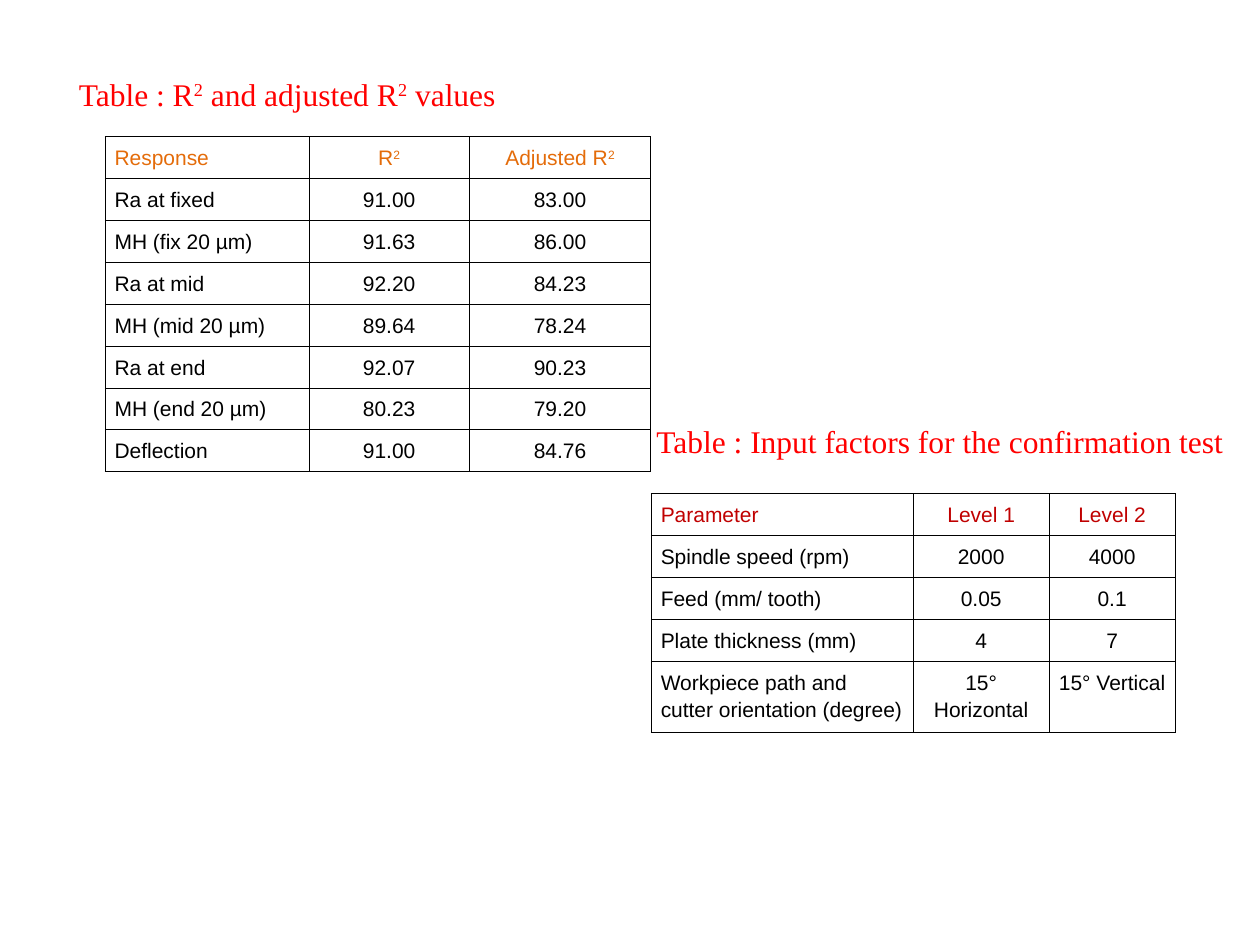
from dataclasses import dataclass

from lxml import etree
from pptx import Presentation
from pptx.dml.color import RGBColor
from pptx.enum.text import MSO_AUTO_SIZE, PP_ALIGN
from pptx.oxml.ns import qn
from pptx.slide import Slide
from pptx.table import _Cell
from pptx.text.text import _Paragraph
from pptx.util import Cm, Pt

LEFT = PP_ALIGN.LEFT
CENTER = PP_ALIGN.CENTER
JUSTIFY = PP_ALIGN.JUSTIFY
FIT_SHAPE = MSO_AUTO_SIZE.SHAPE_TO_FIT_TEXT
NO_RESIZE = MSO_AUTO_SIZE.NONE
BLANK_LAYOUT = 6
SQUARE_MARK = "²"


@dataclass(frozen=True)
class Theme:
    caption_font: str = "Times New Roman"
    caption_size: float = 18
    caption_color: str = "FF0000"
    table_font: str = "Arial"
    table_size: float = 12
    body_color: str = "000000"
    fit_header: str = "E46C0A"
    factor_header: str = "C00000"
    border_color: str = "000000"
    border_width: float = 0.45
    line_spacing: float = 1.15


@dataclass(frozen=True)
class Caption:
    text: str
    left: float
    top: float
    width: float
    height: float = 1.14


@dataclass(frozen=True)
class DataTable:
    left: float
    top: float
    columns: tuple[float, ...]
    row_heights: tuple[float, ...]
    header_color: str
    rows: tuple[tuple[str, ...], ...]
    last_label_align: PP_ALIGN


THEME = Theme()
LINE_HEIGHT = 0.58

CAPTIONS = (
    Caption("Table : R² and adjusted R² values", 1.32, 1.27, 8.94),
    Caption("Table : Input factors for the confirmation test", 12.95, 8.26, 12),
)

FIT_QUALITY = DataTable(
    left=2.12,
    top=2.75,
    columns=(4.11, 3.23, 3.66),
    row_heights=(LINE_HEIGHT,) * 8,
    header_color=THEME.fit_header,
    rows=(
        ("Response", "R²", "Adjusted R²"),
        ("Ra at fixed", "91.00", "83.00"),
        ("MH (fix 20 µm)", "91.63", "86.00"),
        ("Ra at mid", "92.20", "84.23"),
        ("MH (mid 20 µm)", "89.64", "78.24"),
        ("Ra at end", "92.07", "90.23"),
        ("MH (end 20 µm)", "80.23", "79.20"),
        ("Deflection", "91.00", "84.76"),
    ),
    last_label_align=JUSTIFY,
)

INPUT_FACTORS = DataTable(
    left=13.13,
    top=9.95,
    columns=(5.28, 2.74, 2.54),
    row_heights=(LINE_HEIGHT,) * 4 + (2 * LINE_HEIGHT,),
    header_color=THEME.factor_header,
    rows=(
        ("Parameter", "Level 1", "Level 2"),
        ("Spindle speed (rpm)", "2000", "4000"),
        ("Feed (mm/ tooth)", "0.05", "0.1"),
        ("Plate thickness (mm)", "4", "7"),
        ("Workpiece path and cutter orientation (degree)", "15° Horizontal", "15° Vertical"),
    ),
    last_label_align=LEFT,
)


def write(paragraph: _Paragraph, text: str, font: str, size: float, color: str, align: PP_ALIGN) -> None:
    paragraph.alignment = align
    paragraph.line_spacing = THEME.line_spacing
    for index, part in enumerate(text.split(SQUARE_MARK)):
        if index:
            exponent = paragraph.add_run()
            exponent.text = "2"
            exponent._r.get_or_add_rPr().set("baseline", "30000")
        if part:
            paragraph.add_run().text = part
    for run in paragraph.runs:
        run.font.name = font
        run.font.size = Pt(size)
        run.font.color.rgb = RGBColor.from_string(color)


def add_borders(cell: _Cell) -> None:
    properties = cell._tc.get_or_add_tcPr()
    for position, side in enumerate(("lnL", "lnR", "lnT", "lnB")):
        line = etree.Element(qn(f"a:{side}"), w=str(int(Pt(THEME.border_width))))
        fill = etree.SubElement(line, qn("a:solidFill"))
        etree.SubElement(fill, qn("a:srgbClr"), val=THEME.border_color)
        properties.insert(position, line)


def add_caption(slide: Slide, caption: Caption) -> None:
    box = slide.shapes.add_textbox(
        Cm(caption.left), Cm(caption.top), Cm(caption.width), Cm(caption.height)
    )
    frame = box.text_frame
    frame.word_wrap = False
    frame.auto_size = FIT_SHAPE
    write(frame.paragraphs[0], caption.text, THEME.caption_font, THEME.caption_size,
          THEME.caption_color, CENTER)


def add_data_table(slide: Slide, data: DataTable) -> None:
    table = slide.shapes.add_table(
        len(data.rows), len(data.columns), Cm(data.left), Cm(data.top),
        Cm(sum(data.columns)), Cm(sum(data.row_heights)),
    ).table
    table.first_row = False
    table.horz_banding = False
    for column, width in zip(table.columns, data.columns):
        column.width = Cm(width)
    for row, height in zip(table.rows, data.row_heights):
        row.height = Cm(height)
    last_row = len(data.rows) - 1
    for row_index, values in enumerate(data.rows):
        color = THEME.body_color if row_index else data.header_color
        label_align = data.last_label_align if row_index == last_row else JUSTIFY
        for column_index, value in enumerate(values):
            cell = table.cell(row_index, column_index)
            cell.margin_left = cell.margin_right = Cm(0.19)
            cell.margin_top = cell.margin_bottom = Cm(0.13)
            cell.fill.background()
            add_borders(cell)
            write(cell.text_frame.paragraphs[0], value, THEME.table_font, THEME.table_size,
                  color, CENTER if column_index else label_align)


def main() -> None:
    presentation = Presentation()
    presentation.slide_width = Cm(25.4)
    presentation.slide_height = Cm(19.05)
    slide = presentation.slides.add_slide(presentation.slide_layouts[BLANK_LAYOUT])
    for caption, data in zip(CAPTIONS, (FIT_QUALITY, INPUT_FACTORS)):
        add_caption(slide, caption)
        add_data_table(slide, data)
    presentation.save("out.pptx")


if __name__ == "__main__":
    main()
